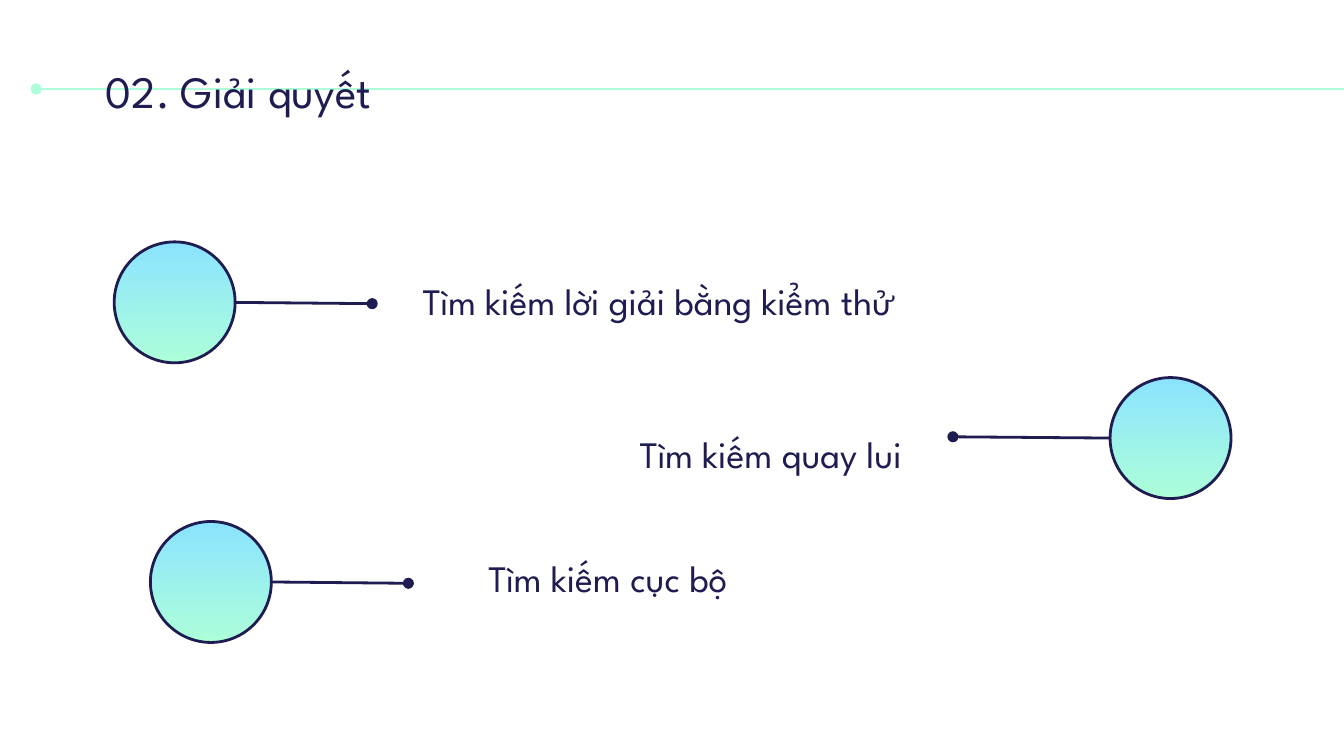
from lxml import etree
from pptx import Presentation
from pptx.dml.color import RGBColor
from pptx.enum.shapes import MSO_CONNECTOR, MSO_SHAPE
from pptx.enum.text import MSO_ANCHOR, PP_ALIGN
from pptx.oxml.ns import qn
from pptx.util import Pt

LINE = MSO_CONNECTOR.STRAIGHT
OVAL = MSO_SHAPE.OVAL
TOP, MIDDLE = MSO_ANCHOR.TOP, MSO_ANCHOR.MIDDLE
LEFT, RIGHT = PP_ALIGN.LEFT, PP_ALIGN.RIGHT
FONT = "League Spartan"
NAVY, SKY, MINT = "1F1C51", "8BE3FF", "ACFFD9"
DISC = 64.8


def color(code):
    return RGBColor.from_string(code)


def add_text(slide, box, text, size, align=LEFT, anchor=MIDDLE, indent=0):
    frame = slide.shapes.add_textbox(*map(Pt, box)).text_frame
    frame.word_wrap = True
    frame.vertical_anchor = anchor
    frame.margin_left = frame.margin_right = Pt(7.2)
    frame.margin_top = frame.margin_bottom = Pt(7.2)
    para = frame.paragraphs[0]
    para.alignment = align
    para._p.get_or_add_pPr().set("marL", str(Pt(indent)))
    run = para.add_run()
    run.text = text
    run.font.name = FONT
    run.font.size = Pt(size)
    run.font.color.rgb = color(NAVY)


def add_line(slide, ends, code, dot):
    line = slide.shapes.add_connector(LINE, *map(Pt, ends))
    line.line.color.rgb = color(code)
    line.line.width = Pt(1.5)
    etree.SubElement(line.line._get_or_add_ln(), qn("a:" + dot), type="oval")
    etree.SubElement(line._element.spPr, qn("a:effectLst"))


def add_disc(slide, left, top):
    disc = slide.shapes.add_shape(OVAL, Pt(left), Pt(top), Pt(DISC), Pt(DISC))
    disc.shadow.inherit = False
    disc.fill.gradient()
    disc.fill.gradient_angle = 270
    for stop, code in zip(disc.fill.gradient_stops, (SKY, MINT)):
        stop.color.rgb = color(code)
    disc.line.color.rgb = color(NAVY)
    disc.line.width = Pt(1.5)


def add_header(slide, box, text):
    left, top, width, height = box
    add_line(slide, (left, top + 20.9, left + width, top + 20.9), MINT, "headEnd")
    add_text(slide, (left + 30.2, top, 478.8, height), text, 24, anchor=TOP)


def add_item(slide, box, text, wide, drop, flip=False):
    left, top, width, height = box
    right = left + width
    mid = top + DISC / 2
    if flip:
        edge = right - DISC
        add_disc(slide, edge, top)
        add_line(slide, (edge, mid, edge - 84.2, mid - 0.7), NAVY, "tailEnd")
        add_text(slide, (left, top + drop, wide, height), text, 20, RIGHT)
    else:
        edge = left + DISC
        add_disc(slide, left, top)
        add_line(slide, (edge, mid, edge + 73.4, mid + 0.7), NAVY, "tailEnd")
        spot = (right - wide, top + drop, wide, height)
        add_text(slide, spot, text, 20, indent=9)


def main():
    deck = Presentation()
    deck.slide_width, deck.slide_height = Pt(720), Pt(405)
    slide = deck.slides.add_slide(deck.slide_layouts[6])
    add_header(slide, (19.4, 26.8, 707.8, 42.5), "02. Giải quyết")
    add_item(slide, (61.2, 129.6, 517, 51.1),
             "Tìm kiếm lời giải bằng kiểm thử", 367.9, 5.8)
    add_item(slide, (148.3, 202.3, 511.2, 72.7),
             "Tìm kiếm quay lui", 342, 4.3, flip=True)
    add_item(slide, (80.6, 279.4, 532.8, 51.1),
             "Tìm kiếm cục bộ", 367.9, 4.3)
    deck.save("out.pptx")


if __name__ == "__main__":
    main()
